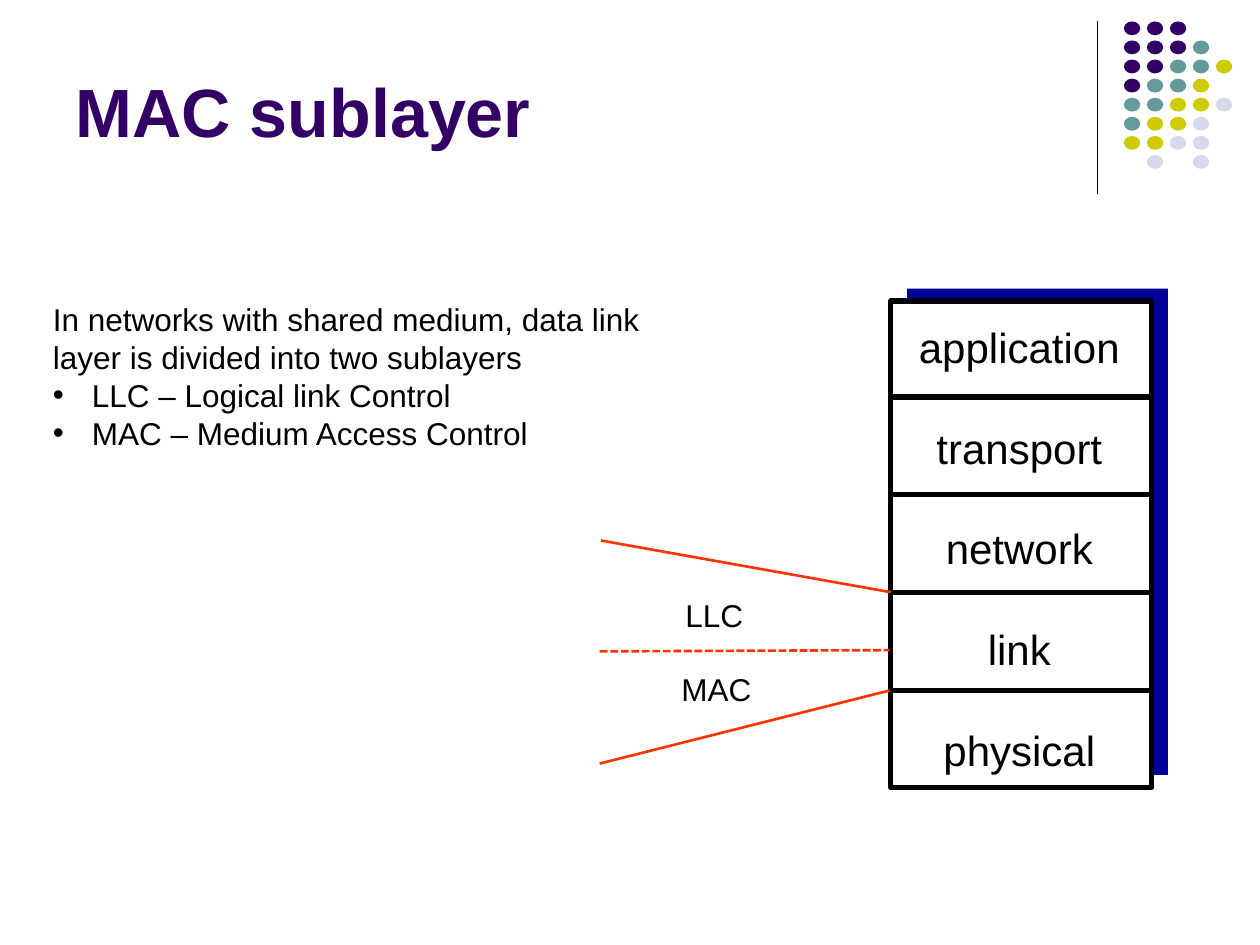
from lxml.etree import SubElement
from pptx import Presentation
from pptx.dml.color import RGBColor
from pptx.enum.dml import MSO_LINE
from pptx.enum.shapes import MSO_CONNECTOR, MSO_SHAPE
from pptx.enum.text import MSO_ANCHOR, PP_ALIGN
from pptx.oxml.ns import qn
from pptx.util import Inches, Pt

COLORS = {
    "black": "000000",
    "white": "FFFFFF",
    "purple": "330066",
    "teal": "669999",
    "olive": "CCCC00",
    "lavender": "D8D8EC",
    "navy": "000099",
    "red": "FF3300",
}


def write(sp, lines, size, color="black", bold=False, align=PP_ALIGN.LEFT,
          anchor=MSO_ANCHOR.TOP, wrap=True, leading=None, gap=0):
    """Fill a shape with one formatted paragraph per line; gap is in points."""
    tf = sp.text_frame
    tf.word_wrap = wrap
    tf.vertical_anchor = anchor
    for i, line in enumerate(lines):
        p = tf.paragraphs[0] if i == 0 else tf.add_paragraph()
        p.alignment = align
        p.space_before = Pt(gap if i else 0)
        if leading:
            p.line_spacing = Pt(leading)
        r = p.add_run()
        r.text = line
        r.font.name = "Arial"
        r.font.size = Pt(size)
        r.font.bold = bold
        r.font.color.rgb = RGBColor.from_string(COLORS[color])


def add_line(x1, y1, x2, y2, color, width, dash=None):
    line = s.shapes.add_connector(MSO_CONNECTOR.STRAIGHT, Inches(x1), Inches(y1),
                                  Inches(x2), Inches(y2))
    line.line.color.rgb = RGBColor.from_string(COLORS[color])
    line.line.width = Pt(width)
    if dash:
        line.line.dash_style = dash
    SubElement(line._element.spPr, qn("a:effectLst"))


prs = Presentation()
prs.slide_width, prs.slide_height = Inches(10), Inches(7.5)
s = prs.slides.add_slide(prs.slide_layouts[1])

# Corner decoration: one letter per dot, a space where there is none
add_line(8.71, 0.17, 8.71, 1.54, "black", 0.75)
dot_rows = ["PPP", "PPPT", "PPTTO", "PTTO", "TTOOL", "TOOL", "OOLL", " L L"]
dot_colors = {"P": "purple", "T": "teal", "O": "olive", "L": "lavender"}
dots = s.shapes.add_group_shape()
for row, letters in enumerate(dot_rows):
    for col, letter in enumerate(letters):
        if letter == " ":
            continue
        dot = dots.shapes.add_shape(
            MSO_SHAPE.OVAL, Inches(8.92 + col * 0.73 / 4),
            Inches(0.17 + row * 1.06 / 7), Inches(0.13), Inches(0.11))
        dot.shadow.inherit = False
        dot.fill.solid()
        dot.fill.fore_color.rgb = RGBColor.from_string(COLORS[dot_colors[letter]])
        dot.line.fill.background()

# Title
title = s.shapes.title
title.left, title.top = Inches(0.5), Inches(0.13)
title.width, title.height = Inches(8.25), Inches(1.12)
write(title, ["MAC sublayer"], 39, color="purple", bold=True, anchor=MSO_ANCHOR.BOTTOM)

# Layer stack: navy backing, white front, dividers and names
for x, y, fill in [(7.2, 2.29, "navy"), (7.07, 2.39, "white")]:
    panel = s.shapes.add_shape(MSO_SHAPE.RECTANGLE, Inches(x), Inches(y),
                               Inches(2.07), Inches(3.86))
    panel.shadow.inherit = False
    panel.fill.solid()
    panel.fill.fore_color.rgb = RGBColor.from_string(COLORS[fill])
    panel.line.fill.background()
panel.line.color.rgb = RGBColor.from_string(COLORS["black"])
panel.line.width = Pt(3)

layers = s.shapes.add_textbox(Inches(7.19), Inches(2.5), Inches(1.8), Inches(3.69))
write(layers, ["application", "transport", "network", "link", "physical"], 24,
      align=PP_ALIGN.CENTER, wrap=False, leading=28.8, gap=28.8)

for i in range(4):
    y = 3.15 + i * 2.33 / 3
    add_line(7.06, y, 9.13, y, "black", 3)

# Link layer opened into its two sublayers
add_line(7.07, 4.7, 4.77, 4.29, "red", 1.5)
add_line(7.06, 5.48, 4.76, 6.06, "red", 1.5)
add_line(4.76, 5.17, 7.06, 5.16, "red", 1.5, MSO_LINE.SQUARE_DOT)
for name, x, y, w in [("LLC", 5.34, 4.68, 0.71), ("MAC", 5.31, 5.27, 0.86)]:
    label = s.shapes.add_textbox(Inches(x), Inches(y), Inches(w), Inches(0.4))
    write(label, [name], 18, leading=21.7)

# Explanation with bullets on all but the first paragraph
body = s.placeholders[1]
body.left, body.top = Inches(0.32), Inches(2.33)
body.width, body.height = Inches(5.41), Inches(1.31)
write(body, ["In networks with shared medium, data link layer is divided into two sublayers",
             "LLC – Logical link Control",
             "MAC – Medium Access Control"], 18, leading=21.7)
for i, p in enumerate(body.text_frame.paragraphs):
    pPr = p._p.get_or_add_pPr()
    indent = Inches(0.31) if i else 0
    pPr.set("marL", str(indent))
    pPr.set("indent", str(-indent))
    if i:
        SubElement(pPr, qn("a:buChar")).set("char", "•")
    else:
        SubElement(pPr, qn("a:buNone"))

prs.save("out.pptx")
